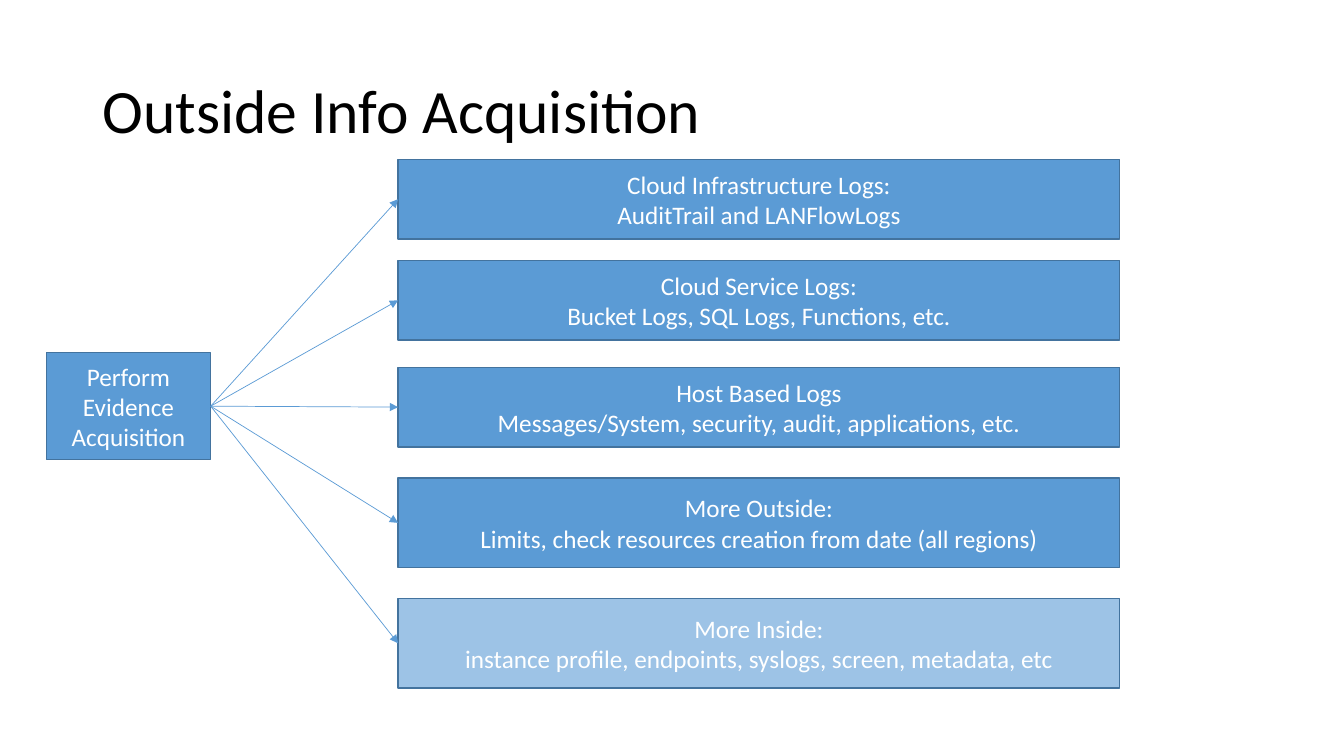
from lxml import etree
from pptx import Presentation
from pptx.dml.color import RGBColor
from pptx.enum import shapes, text
from pptx.oxml import ns
from pptx.util import Pt

COLORS = {
    "title": "000000",
    "label": "FFFFFF",
    "box": "5B9BD5",
    "inside": "9DC3E6",
    "border": "43739E",
}
FONT = "Calibri"


def style_text(frame, size, color, align):
    frame.word_wrap = True
    frame.vertical_anchor = text.MSO_ANCHOR.MIDDLE
    for paragraph in frame.paragraphs:
        paragraph.alignment = align
        for run in paragraph.runs:
            run.font.name = FONT
            run.font.size = Pt(size)
            run.font.color.rgb = RGBColor.from_string(COLORS[color])


def add_box(left, top, width, height, fill, label):
    box = slide.shapes.add_shape(
        shapes.MSO_SHAPE.RECTANGLE, Pt(left), Pt(top), Pt(width), Pt(height))
    box.shadow.inherit = False
    box.fill.solid()
    box.fill.fore_color.rgb = RGBColor.from_string(COLORS[fill])
    box.line.color.rgb = RGBColor.from_string(COLORS["border"])
    box.line.width = Pt(1)
    box.text_frame.text = label
    style_text(box.text_frame, 18, "label", text.PP_ALIGN.CENTER)
    return box


prs = Presentation()
prs.slide_width, prs.slide_height = Pt(960), Pt(540)
slide = prs.slides.add_slide(prs.slide_layouts[5])

title = slide.shapes.title
title.left, title.top, title.width, title.height = Pt(66), Pt(28.8), Pt(828), Pt(104.4)
title.text_frame.text = "Outside Info Acquisition"
title.text_frame.auto_size = text.MSO_AUTO_SIZE.NONE
title.text_frame.paragraphs[0].line_spacing = 0.9
style_text(title.text_frame, 44, "title", text.PP_ALIGN.LEFT)

acquisition = add_box(33.1, 252, 117.4, 76.3, "box", "Perform\nEvidence Acquisition")

evidence_sources = [
    (113.8, 57, "box", "Cloud Infrastructure Logs:\nAuditTrail and LANFlowLogs"),
    (186, 57, "box", "Cloud Service Logs:\nBucket Logs, SQL Logs, Functions, etc."),
    (262.3, 57, "box", "Host Based Logs\nMessages/System, security, audit, applications, etc."),
    (341.5, 64, "box", "More Outside:\nLimits, check resources creation from date (all regions)"),
    (427.5, 64, "inside", "More Inside:\ninstance profile, endpoints, syslogs, screen, metadata, etc"),
]

for top, height, fill, label in evidence_sources:
    source = add_box(284.4, top, 515.5, height, fill, label)
    arrow = slide.shapes.add_connector(shapes.MSO_CONNECTOR.STRAIGHT, 0, 0, 0, 0)
    arrow.begin_connect(acquisition, 3)
    arrow.end_connect(source, 1)
    arrow.line.color.rgb = RGBColor.from_string(COLORS["box"])
    arrow.line.width = Pt(0.5)
    etree.SubElement(arrow.line._get_or_add_ln(), ns.qn("a:tailEnd"), type="triangle")
    etree.SubElement(arrow._element.spPr, ns.qn("a:effectLst"))

prs.save("out.pptx")
